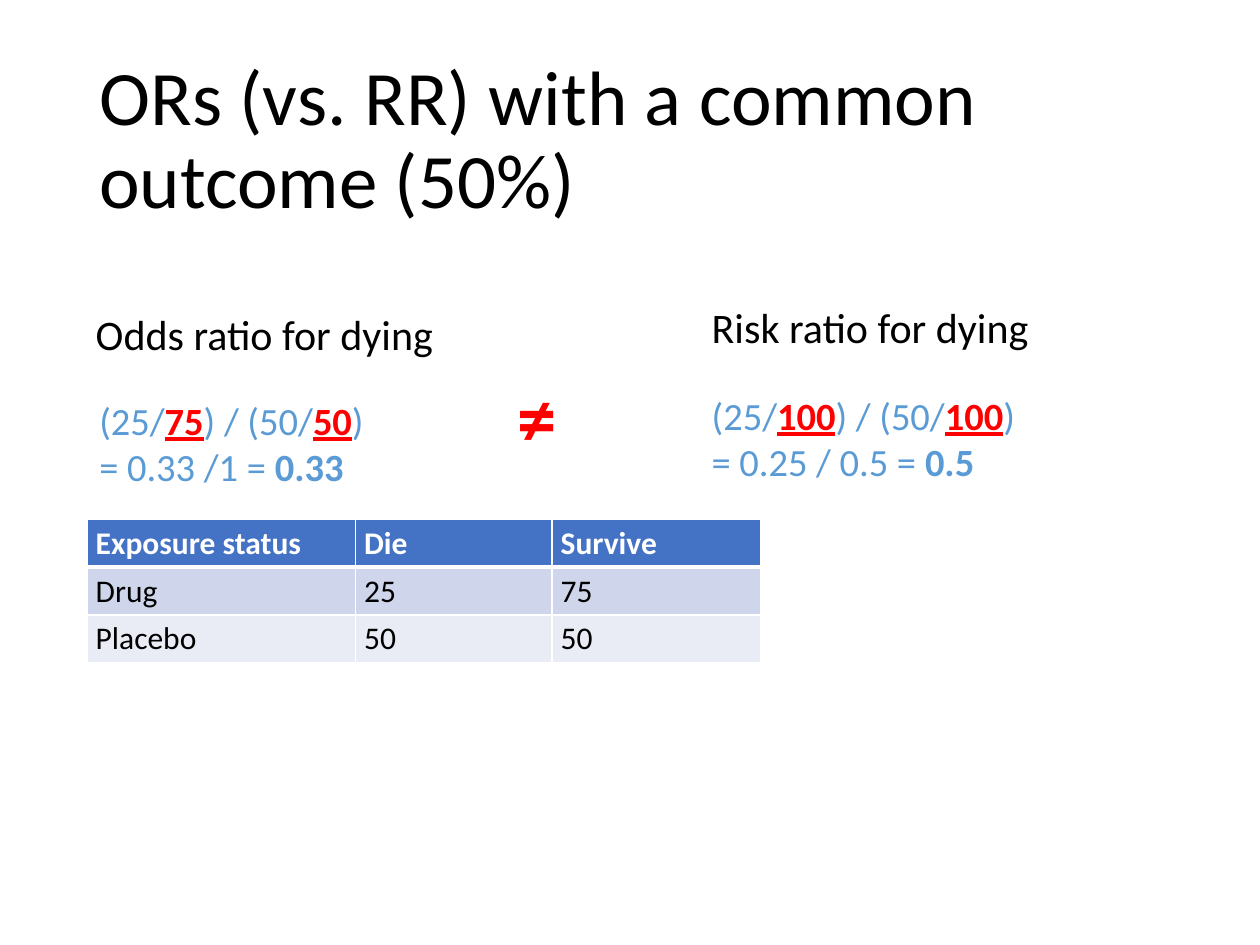
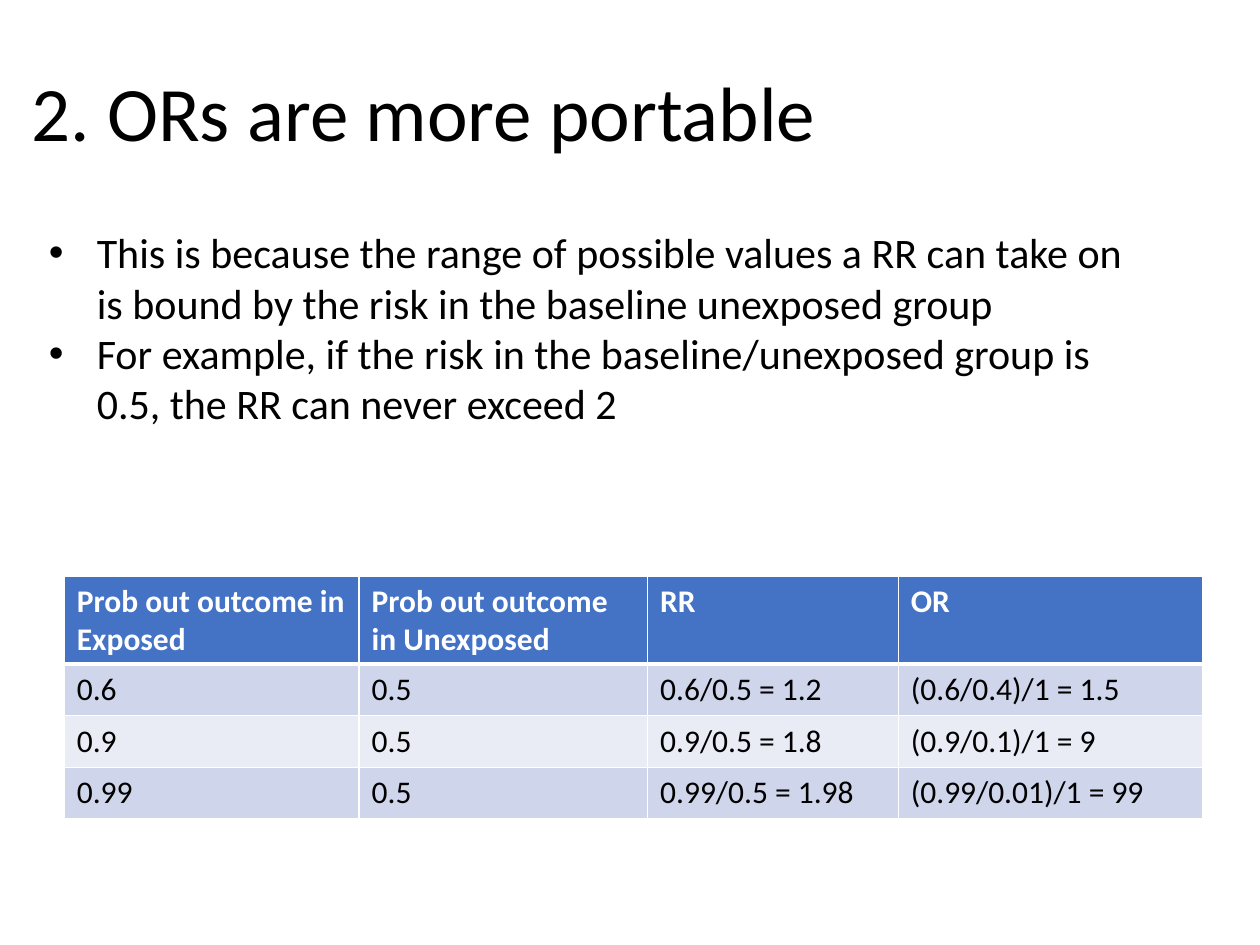
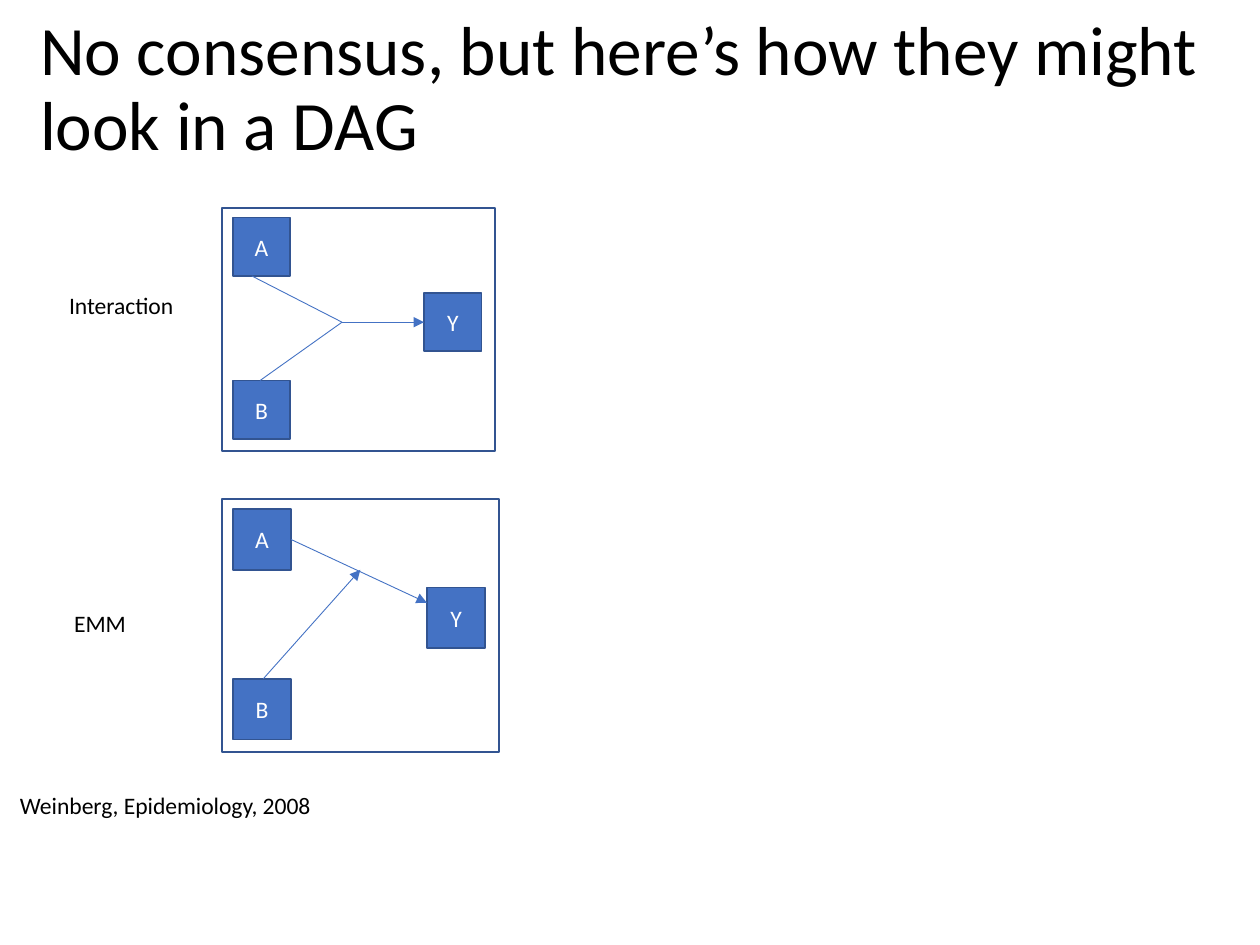
from dataclasses import dataclass
from lxml import etree
from pptx import Presentation
from pptx.dml.color import RGBColor
from pptx.enum.shapes import MSO_CONNECTOR, MSO_SHAPE
from pptx.enum.text import MSO_ANCHOR, PP_ALIGN
from pptx.oxml.ns import qn
from pptx.util import Inches, Pt

RECT = MSO_SHAPE.RECTANGLE
LINE = MSO_CONNECTOR.STRAIGHT
MIDDLE, TOP = MSO_ANCHOR.MIDDLE, MSO_ANCHOR.TOP
CENTER = PP_ALIGN.CENTER
COLS, ROWS = 100, 75
CELL = Inches(0.1)
TIGHT = (0.7, 0.4)
ROOMY = (1, 0.5)


@dataclass(frozen=True)
class Theme:
    font: str = "Calibri"
    ink: str = "000000"
    paper: str = "FFFFFF"
    main: str = "4472C4"
    edge: str = "325491"
    sky: str = "5B9BD5"
    alert: str = "FF0000"
    bands: tuple = ("CFD5EA", "E9EBF5")
    title: float = 44
    small: float = 39.6
    sign: float = 45
    body: float = 24
    math: float = 22
    table: float = 18
    label: float = 13.5


T = Theme()


def grid(*units):
    return [round(unit * CELL) for unit in units]


def rgb(code):
    return RGBColor.from_string(code)


def style(font, size, color=T.ink, bold=False):
    font.name = T.font
    font.size = Pt(size)
    font.color.rgb = rgb(color)
    font.bold = bold


def pad(frame, inset):
    side, end = grid(*inset)
    frame.margin_left = frame.margin_right = side
    frame.margin_top = frame.margin_bottom = end


def add_box(slide, at, inset=ROOMY, wrap=True):
    frame = slide.shapes.add_textbox(*grid(*at)).text_frame
    frame.word_wrap = wrap
    pad(frame, inset)
    return frame


def add_text(slide, at, text, size, color=T.ink, bold=False,
             inset=ROOMY, space=1, anchor=TOP, wrap=True):
    frame = add_box(slide, at, inset, wrap)
    frame.text = text
    frame.vertical_anchor = anchor
    for para in frame.paragraphs:
        para.line_spacing = space
        for run in para.runs:
            style(run.font, size, color, bold)
    return frame


def add_title(slide, at, text, size=T.title):
    add_text(slide, at, text, size, space=0.9, anchor=MIDDLE)


def add_math(slide, at, tops, steps, answer):
    frame = add_box(slide, at)
    first, last = frame.paragraphs[0], frame.add_paragraph()
    for start, base, end in tops:
        for text, hot in ((start, False), (base, True), (end, False)):
            run = first.add_run()
            run.text = text
            style(run.font, T.math, T.alert if hot else T.sky, hot)
            run.font.underline = hot
    for text, bold in ((steps, False), (answer, True)):
        run = last.add_run()
        run.text = text
        style(run.font, T.math, T.sky, bold)


def add_list(slide, at, lines):
    frame = add_box(slide, at)
    frame.text = "\n".join(lines)
    for para in frame.paragraphs:
        props = para._p.get_or_add_pPr()
        hang = grid(3.8)[0]
        props.set("marL", str(hang))
        props.set("indent", str(-hang))
        etree.SubElement(props, qn("a:buFont")).set("typeface", "Arial")
        etree.SubElement(props, qn("a:buChar")).set("char", "•")
        for run in para.runs:
            style(run.font, T.body)


def add_edges(cell, **widths):
    props = cell._tc.get_or_add_tcPr()
    for side in "LRTB":
        line = etree.SubElement(props, qn(f"a:ln{side}"))
        line.set("w", str(Pt(widths.get(side, 1))))
        fill = etree.SubElement(line, qn("a:solidFill"))
        etree.SubElement(fill, qn("a:srgbClr")).set("val", T.paper)


def add_table(slide, left, top, cols, rows, data, inset=ROOMY):
    at = grid(left, top, sum(cols), sum(rows))
    table = slide.shapes.add_table(len(rows), len(cols), *at).table
    for col, width in zip(table.columns, grid(*cols)):
        col.width = width
    for row, height in zip(table.rows, grid(*rows)):
        row.height = height
    for r, line in enumerate(data):
        for c, text in enumerate(line):
            cell = table.cell(r, c)
            head = r == 0
            add_edges(cell, **({"B": 3} if head else {"T": 3} if r == 1 else {}))
            cell.fill.solid()
            cell.fill.fore_color.rgb = rgb(T.main if head else T.bands[(r - 1) % 2])
            pad(cell, inset)
            cell.text = text
            for run in cell.text_frame.paragraphs[0].runs:
                style(run.font, T.table, T.paper if head else T.ink, head)


def add_rect(shapes, at, text=""):
    shape = shapes.add_shape(RECT, *grid(*at))
    shape.shadow.inherit = False
    shape.line.color.rgb = rgb(T.edge)
    shape.line.width = Pt(1)
    if not text:
        shape.fill.background()
        return
    shape.fill.solid()
    shape.fill.fore_color.rgb = rgb(T.main)
    frame = shape.text_frame
    frame.text = text
    frame.vertical_anchor = MIDDLE
    para = frame.paragraphs[0]
    para.alignment = CENTER
    style(para.runs[0].font, T.label, T.paper)


def add_line(shapes, start, end, arrow):
    link = shapes.add_connector(LINE, *grid(*start, *end))
    link.line.color.rgb = rgb(T.main)
    link.line.width = Pt(0.5)
    if arrow:
        tail = etree.SubElement(link.line._get_or_add_ln(), qn("a:tailEnd"))
        tail.set("type", "triangle")
    etree.SubElement(link._element.spPr, qn("a:effectLst"))


def add_graph(slide, at, links):
    left, top, width, height = at
    shapes = slide.shapes.add_group_shape().shapes

    def place(x, y):
        return left + x * width, top + y * height

    nodes = {"A": (0.04, 0.04), "Y": (0.74, 0.35), "B": (0.04, 0.71)}
    for name, spot in nodes.items():
        add_rect(shapes, (*place(*spot), 0.21 * width, 0.24 * height), name)
    for start, end, arrow in links:
        add_line(shapes, place(*start), place(*end), arrow)
    add_rect(shapes, at)


def build_odds(slide):
    left, right = 6.9, 55.5
    add_title(slide, (left, 4, 86.2, 14.5), "ORs (vs. RR) with a common outcome (50%)")
    add_text(slide, (right, 23.9, 40.9, 9.6), "Risk ratio for dying", T.body, space=0.9)
    add_text(slide, (left, 24.5, 31.3, 9.6), "Odds ratio for dying", T.body,
             inset=TIGHT, space=0.9)
    add_math(slide, (left, 31, 24, 8.4),
             [("(25/", "75", ") / (50/"), ("", "50", ")")], "= 0.33 /1 = ", "0.33")
    add_math(slide, (right, 30.6, 29.8, 8.4),
             [("(25/", "100", ") / (50/"), ("", "100", ")")], "= 0.25 / 0.5 = ", "0.5")
    add_text(slide, (40.1, 28.7, 8.2, 8.6), "≠", T.sign, T.alert, True)
    add_table(slide, left, 41.2, (21.3, 15.6, 16.6), [3.73] * 3, [
        ("Exposure status", "Die", "Survive"),
        ("Drug", "25", "75"),
        ("Placebo", "50", "50"),
    ], TIGHT)


def build_range(slide):
    add_title(slide, (1.5, 3.8, 96.9, 10.9), "2. ORs are more portable")
    add_list(slide, (2.9, 17.5, 87.6, 17.2), [
        "This is because the range of possible values a RR can take on "
        "is bound by the risk in the baseline unexposed group",
        "For example, if the risk in the baseline/unexposed group is 0.5, "
        "the RR can never exceed 2",
    ])
    add_table(slide, 5.1, 45.7, (23.4, 22.9, 19.9, 24.2), [6.9] + [4.1] * 3, [
        ("Prob out outcome in Exposed", "Prob out outcome in Unexposed", "RR", "OR"),
        ("0.6", "0.5", "0.6/0.5 = 1.2", "(0.6/0.4)/1 = 1.5"),
        ("0.9", "0.5", "0.9/0.5 = 1.8", "(0.9/0.1)/1 = 9"),
        ("0.99", "0.5", "0.99/0.5 = 1.98", "(0.99/0.01)/1 = 99"),
    ])


def build_graphs(slide):
    add_title(slide, (2.2, 1.7, 95.6, 10.9),
              "No consensus, but here’s how they might look in a DAG", T.small)
    join = (0.44, 0.47)
    add_graph(slide, (17.6, 16.5, 21.7, 19.3), [
        ((0.11, 0.28), join, False),
        ((0.14, 0.71), join, False),
        (join, (0.74, 0.47), True),
    ])
    add_graph(slide, (17.6, 39.6, 22, 20.1), [
        ((0.25, 0.16), (0.74, 0.41), True),
        ((0.15, 0.71), (0.5, 0.28), True),
    ])
    add_text(slide, (4.5, 22.6, 12.7, 3.3), "Interaction", T.label)
    add_text(slide, (4.9, 47.8, 12.7, 3.3), "EMM", T.label)
    add_text(slide, (0.6, 62.3, 25.5, 3.3), "Weinberg, Epidemiology, 2008",
             T.label, wrap=False)


def main():
    deck = Presentation()
    deck.slide_width, deck.slide_height = grid(COLS, ROWS)
    blank = deck.slide_layouts[6]
    for build in (build_odds, build_range, build_graphs):
        build(deck.slides.add_slide(blank))
    deck.save("out.pptx")


if __name__ == "__main__":
    main()
